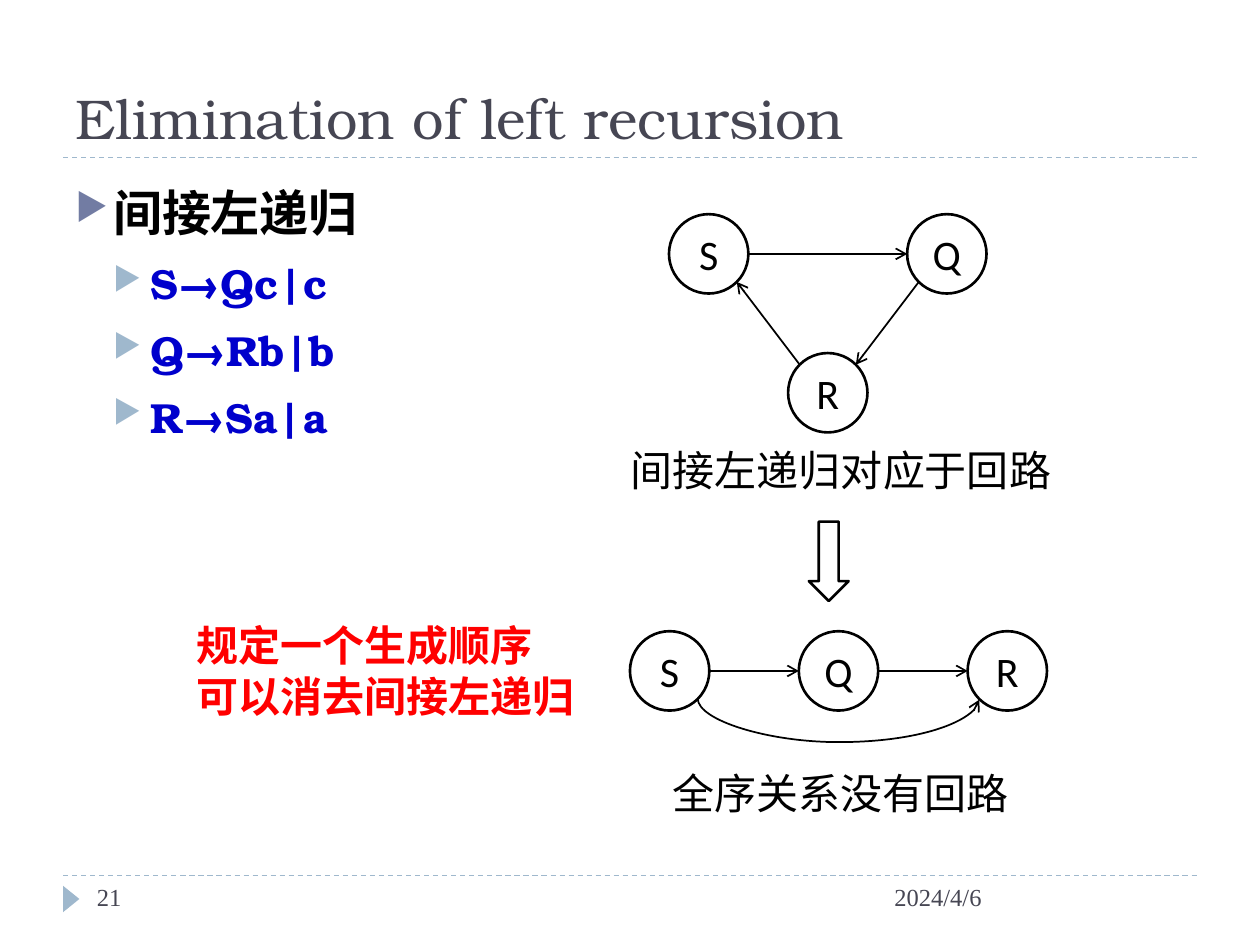
from math import sqrt
from lxml.etree import SubElement
from pptx import Presentation
from pptx.dml.color import RGBColor
from pptx.enum.dml import MSO_LINE
from pptx.enum.shapes import MSO_CONNECTOR, MSO_SHAPE
from pptx.enum.text import MSO_ANCHOR, MSO_AUTO_SIZE, PP_ALIGN
from pptx.oxml.ns import qn
from pptx.util import Inches, Pt

WIDTH, HEIGHT = 10, 7.5
NODE = 0.63  # node diameter, the grid cell of both graphs
SERIF, ROMAN, SANS = "TeX Gyre Bonum", "Times New Roman", "Calibri"
INK, SLATE, MIST, VIOLET = "000000", "464653", "9FB8CD", "727CA3"
CAPTION = {"size": Pt(24), "name": ROMAN}


def colour(hex_text):
    return RGBColor.from_string(hex_text)


def style(target, values):
    for key, value in values.items():
        setattr(target, key, value)


def place(part, box):
    style(part, dict(zip(("left", "top", "width", "height"), map(Inches, box))))


def write(frame, lines, font, ink, align=PP_ALIGN.LEFT):
    for index, line in enumerate(lines):
        paragraph = frame.add_paragraph() if index else frame.paragraphs[0]
        paragraph.alignment = align
        run = paragraph.add_run()
        run.text = line
        style(run.font, font)
        run.font.color.rgb = colour(ink)


def add_label(slide, box, lines, font, ink=INK, wrap=False):
    label = slide.shapes.add_textbox(*map(Inches, box))
    style(label.text_frame, {"word_wrap": wrap, "auto_size":
          MSO_AUTO_SIZE.NONE if wrap else MSO_AUTO_SIZE.SHAPE_TO_FIT_TEXT})
    write(label.text_frame, lines, font, ink)
    return label


def add_outlined(slide, kind, box):
    outlined = slide.shapes.add_shape(kind, *map(Inches, box))
    outlined.shadow.inherit = False
    outlined.fill.solid()
    outlined.fill.fore_color.rgb = colour("FFFFFF")
    outlined.line.color.rgb = colour(INK)
    outlined.line.width = Pt(1.5)
    return outlined


def add_link(slide, start, end, ink=INK, weight=1, arrow=True,
             kind=MSO_CONNECTOR.STRAIGHT):
    link = slide.shapes.add_connector(kind, *map(Inches, (*start, *end)))
    link.line.color.rgb = colour(ink)
    link.line.width = Pt(weight)
    if arrow:
        SubElement(link.line._get_or_add_ln(), qn("a:tailEnd"), type="arrow")
    SubElement(link._element.spPr, qn("a:effectLst"))
    return link


def add_node(slide, left, top, name):
    node = add_outlined(slide, MSO_SHAPE.OVAL, (left, top, NODE, NODE))
    style(node.text_frame, {"vertical_anchor": MSO_ANCHOR.MIDDLE, "word_wrap": False})
    write(node.text_frame, [name], {"size": Pt(24), "name": SANS}, INK, PP_ALIGN.CENTER)
    return left + NODE / 2, top + NODE / 2


def rim(centre, across, down):
    """Point on a node's rim in the direction (across, down)."""
    reach = NODE / 2 / sqrt(across ** 2 + down ** 2)
    return centre[0] + across * reach, centre[1] + down * reach


def add_curve(slide, start, end, sag):
    """Arc hanging below two points at the same height."""
    curve = add_link(slide, start, end, kind=MSO_CONNECTOR.CURVE)
    span, sliver = end[0] - start[0], Inches(0.01)
    # The connector stands upright, then turns a quarter so that it sags
    style(curve, {"left": Inches((start[0] + end[0]) / 2) - sliver // 2,
                  "top": Inches(start[1] - span / 2),
                  "width": sliver, "height": Inches(span)})
    turned = curve._element.spPr.find(qn("a:xfrm"))
    turned.set("rot", "5400000")
    turned.set("flipV", "1")
    guides = curve._element.spPr.find(qn("a:prstGeom")).find(qn("a:avLst"))
    SubElement(guides, qn("a:gd"), name="adj1",
               fmla=f"val {round(Inches(sag) / sliver * 100000)}")


def add_title(slide, box, text):
    title = slide.shapes.title
    place(title, box)
    style(title.text_frame, {"vertical_anchor": MSO_ANCHOR.BOTTOM, "word_wrap": True})
    write(title.text_frame, [text], {"size": Pt(32), "name": SERIF}, SLATE)


def add_frame(slide, box):
    """Dashed rules above and below the content, and the footer."""
    left, top, width, height = box
    bottom = top + height
    for level in (top, bottom):
        rule = add_link(slide, (left, level), (left + width, level), MIST, 0.75, False)
        rule.line.dash_style = MSO_LINE.DASH
    marker = slide.shapes.add_shape(MSO_SHAPE.ISOSCELES_TRIANGLE,
                                    *map(Inches, (0.46, bottom + 0.12, 0.21, 0.13)))
    marker.rotation = 90
    marker.shadow.inherit = False
    marker.fill.solid()
    marker.fill.fore_color.rgb = colour(MIST)
    marker.line.fill.background()
    footer = {"size": Pt(14), "name": ROMAN}
    add_label(slide, (0.7 * WIDTH, bottom, 2.5, 0.4), ["2024/4/6"], footer, SLATE, True)
    add_label(slide, (0.67, bottom, 2.17, 0.4), ["21"], footer, SLATE, True)


def add_grammar(slide, box, heading, rules):
    grammar = add_label(slide, box, [heading, *rules],
                        {"size": Pt(24), "name": SERIF, "bold": True}, "0000CC", True)
    for index, paragraph in enumerate(grammar.text_frame.paragraphs):
        level = min(index, 1)
        style(paragraph, {"level": level, "line_spacing": 1.15,
                          "space_before": Pt(6 - level)})
        bullet = paragraph._p.get_or_add_pPr()
        bullet.set("marL", str(Inches(0.3 * (level + 1))))
        bullet.set("indent", str(Inches(-0.3)))
        SubElement(SubElement(bullet, qn("a:buClr")), qn("a:srgbClr"),
                   val=MIST if level else VIOLET)
        SubElement(bullet, qn("a:buSzPct"), val="76000")
        SubElement(bullet, qn("a:buChar"), char="▶")
    heading_font = grammar.text_frame.paragraphs[0].runs[0].font
    heading_font.size = Pt(28)
    heading_font.color.rgb = colour(INK)


def add_cycle(slide, box):
    """S, Q and R in a triangle, each leading to the next."""
    left, top, width, height = box
    s = add_node(slide, left, top, "S")
    q = add_node(slide, left + width - NODE, top, "Q")
    r = add_node(slide, left + (width - NODE) / 2, top + height - NODE, "R")
    add_link(slide, rim(s, 1, 0), rim(q, -1, 0))
    add_link(slide, rim(q, -1, 1), rim(r, 1, -1))
    add_link(slide, rim(r, -1, -1), rim(s, 1, 1))


def add_order(slide, box):
    """S, Q and R in a row, with an arc from first to last."""
    left, top, width, height = box
    step = (width - NODE) / 2
    s, q, r = (add_node(slide, left + column * step, top, name)
               for column, name in enumerate("SQR"))
    for before, after in ((s, q), (q, r)):
        add_link(slide, rim(before, 1, 0), rim(after, -1, 0))
    start, end = rim(s, 1, 1), rim(r, -1, 1)
    add_curve(slide, start, end, top + height - start[1])


def main():
    deck = Presentation()
    style(deck, {"slide_width": Inches(WIDTH), "slide_height": Inches(HEIGHT)})
    slide = deck.slides.add_slide(deck.slide_layouts[5])

    # Title, rules and footer
    add_frame(slide, (0.5, 1.25, 0.9 * WIDTH, 5.7))
    add_title(slide, (0.5, 0.17, 0.9 * WIDTH, 1.08), "Elimination of left recursion")

    # Grammar with indirect left recursion
    add_grammar(slide, (0.5, 1.33, 2.9, 2.35), "间接左递归",
                ["S→Qc|c", "Q→Rb|b", "R→Sa|a"])

    # Cycle, and the ordering that removes it
    add_cycle(slide, (5.31, 1.7, 4 * NODE, 2.75 * NODE))
    add_label(slide, (4.91, 3.48, 3.53, 0.5), ["间接左递归对应于回路"], CAPTION)
    add_outlined(slide, MSO_SHAPE.DOWN_ARROW, (6.42, 4.14, NODE / 2, NODE))
    add_order(slide, (5, 5.01, 3.31, 0.89))
    add_label(slide, (5.24, 6.04, 2.87, 0.5), ["全序关系没有回路"], CAPTION)

    # Conclusion
    add_label(slide, (1.46, 4.87, 3.21, 0.91), ["规定一个生成顺序", "可以消去间接左递归"],
              {**CAPTION, "bold": True}, "FF0000")
    deck.save("out.pptx")


if __name__ == "__main__":
    main()
